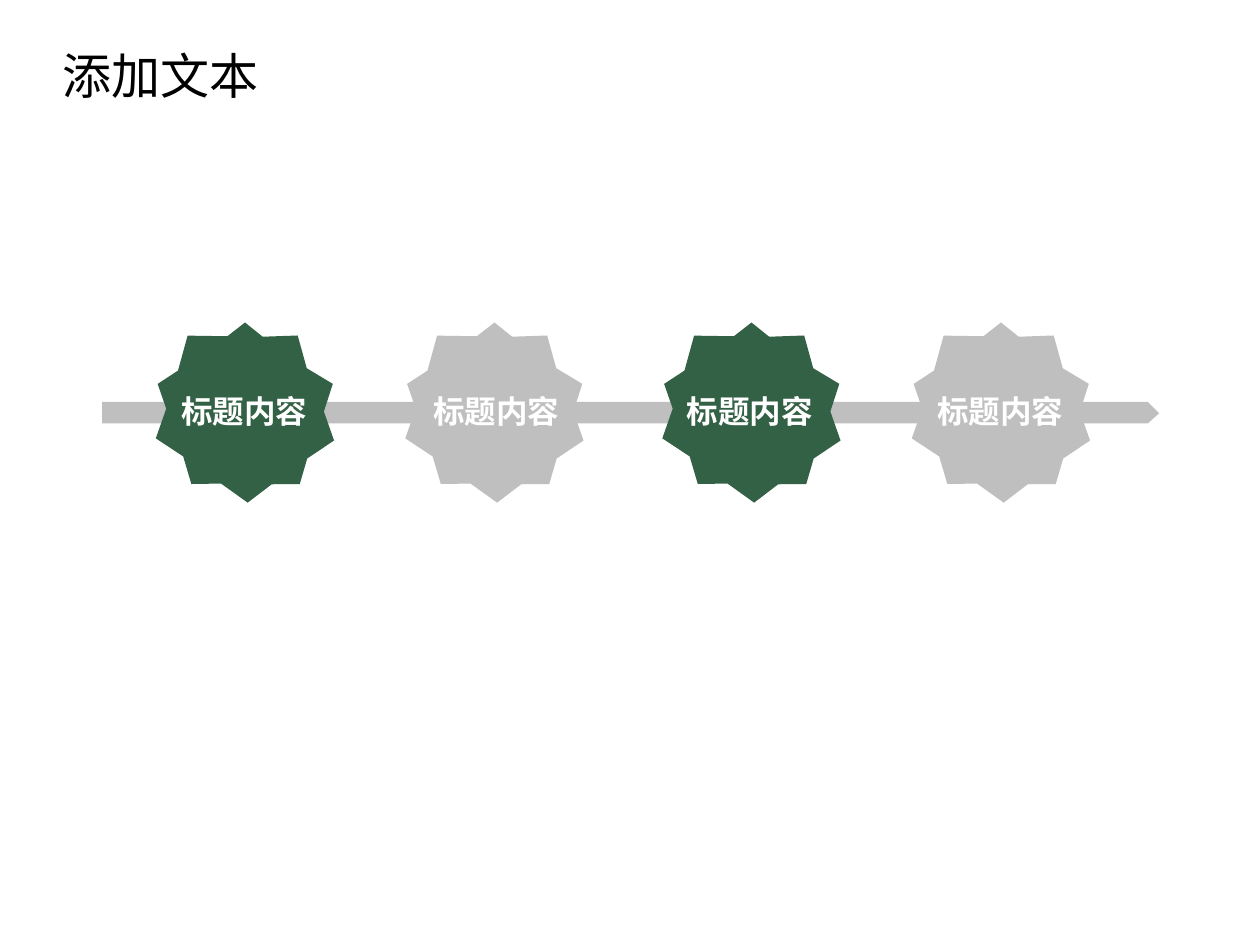
from dataclasses import dataclass
from typing import NamedTuple

from lxml.etree import SubElement
from pptx import Presentation
from pptx.dml.color import RGBColor
from pptx.enum.text import MSO_AUTO_SIZE, PP_ALIGN
from pptx.oxml.ns import qn
from pptx.slide import Slide
from pptx.util import Inches, Pt

# The slide is a grid of square cells, one inch each
COLUMNS, ROWS = 10, 7.5
CELL = Inches(1)


@dataclass(frozen=True)
class Theme:
    font: str = "Noto Sans CJK SC"
    title_size: int = 28
    label_size: int = 18
    black: str = "000000"
    white: str = "FFFFFF"
    green: str = "336145"
    grey: str = "BFBFBF"


class Point(NamedTuple):
    column: float
    row: float


class Box(NamedTuple):
    column: float
    row: float
    columns: float
    rows: float


class Step(NamedTuple):
    label: str
    star_column: float
    label_column: float
    color: str


THEME = Theme()

STEPS = [
    Step("标题内容", 1.23, 1.34, THEME.green),
    Step("标题内容", 3.21, 3.34, THEME.grey),
    Step("标题内容", 5.25, 5.35, THEME.green),
    Step("标题内容", 7.23, 7.34, THEME.grey),
]
STAR_ROW = 2.53
STAR_ROTATION = 35.6
LABEL_ROW, LABEL_COLUMNS, LABEL_ROWS = 3.06, 1.2, 0.4

# Outlines, in cells from the top left of each shape
STAR = [
    Point(0.71, 0), Point(0.92, 0.17), Point(1.16, 0.15), Point(1.23, 0.37),
    Point(1.43, 0.51), Point(1.34, 0.75), Point(1.41, 0.95), Point(1.23, 1.08),
    Point(1.16, 1.31), Point(0.9, 1.31), Point(0.71, 1.45), Point(0.53, 1.31),
    Point(0.27, 1.32), Point(0.2, 1.08), Point(0.03, 0.96), Point(0.1, 0.78),
    Point(0, 0.51), Point(0.26, 0.33), Point(0.31, 0.16), Point(0.49, 0.17),
]
ARROW = [
    Point(0, 0), Point(8.3, 0), Point(8.39, 0.09), Point(8.3, 0.17), Point(0, 0.17),
]


def draw_outline(slide: Slide, corner: Point, outline: list[Point], color: str,
                 rotation: float = 0) -> None:
    points = [
        (round((corner.column + point.column) * CELL), round((corner.row + point.row) * CELL))
        for point in outline
    ]
    builder = slide.shapes.build_freeform(*points[0])
    builder.add_line_segments(points[1:], close=True)
    shape = builder.convert_to_shape()
    shape.rotation = rotation
    shape.shadow.inherit = False
    shape.fill.solid()
    shape.fill.fore_color.rgb = RGBColor.from_string(color)
    shape.line.fill.background()


def draw_text(slide: Slide, box: Box, text: str, size: int, color: str,
              align: PP_ALIGN, bold: bool = False, wrap: bool = True) -> None:
    text_box = slide.shapes.add_textbox(*(round(length * CELL) for length in box))
    frame = text_box.text_frame
    frame.word_wrap = wrap
    frame.auto_size = MSO_AUTO_SIZE.SHAPE_TO_FIT_TEXT
    paragraph = frame.paragraphs[0]
    paragraph.text = text
    paragraph.alignment = align
    font = paragraph.font
    font.size = Pt(size)
    font.bold = bold
    font.color.rgb = RGBColor.from_string(color)
    font.name = THEME.font
    # East Asian typeface
    properties = paragraph._p.pPr.find(qn("a:defRPr"))
    SubElement(properties, qn("a:ea")).set("typeface", THEME.font)


def main() -> None:
    presentation = Presentation()
    presentation.slide_width = round(COLUMNS * CELL)
    presentation.slide_height = round(ROWS * CELL)
    slide = presentation.slides.add_slide(presentation.slide_layouts[6])

    # Title
    draw_text(slide, Box(0.4, 0.31, 1.75, 0.57), "添加文本",
              THEME.title_size, THEME.black, PP_ALIGN.LEFT, wrap=False)

    # Timeline arrow
    draw_outline(slide, Point(0.81, 3.19), ARROW, THEME.grey)

    # Steps along the arrow
    for step in STEPS:
        draw_outline(slide, Point(step.star_column, STAR_ROW), STAR, step.color, STAR_ROTATION)
        label_box = Box(step.label_column, LABEL_ROW, LABEL_COLUMNS, LABEL_ROWS)
        draw_text(slide, label_box, step.label, THEME.label_size,
                  THEME.white, PP_ALIGN.CENTER, bold=True)

    presentation.save("out.pptx")


if __name__ == "__main__":
    main()
